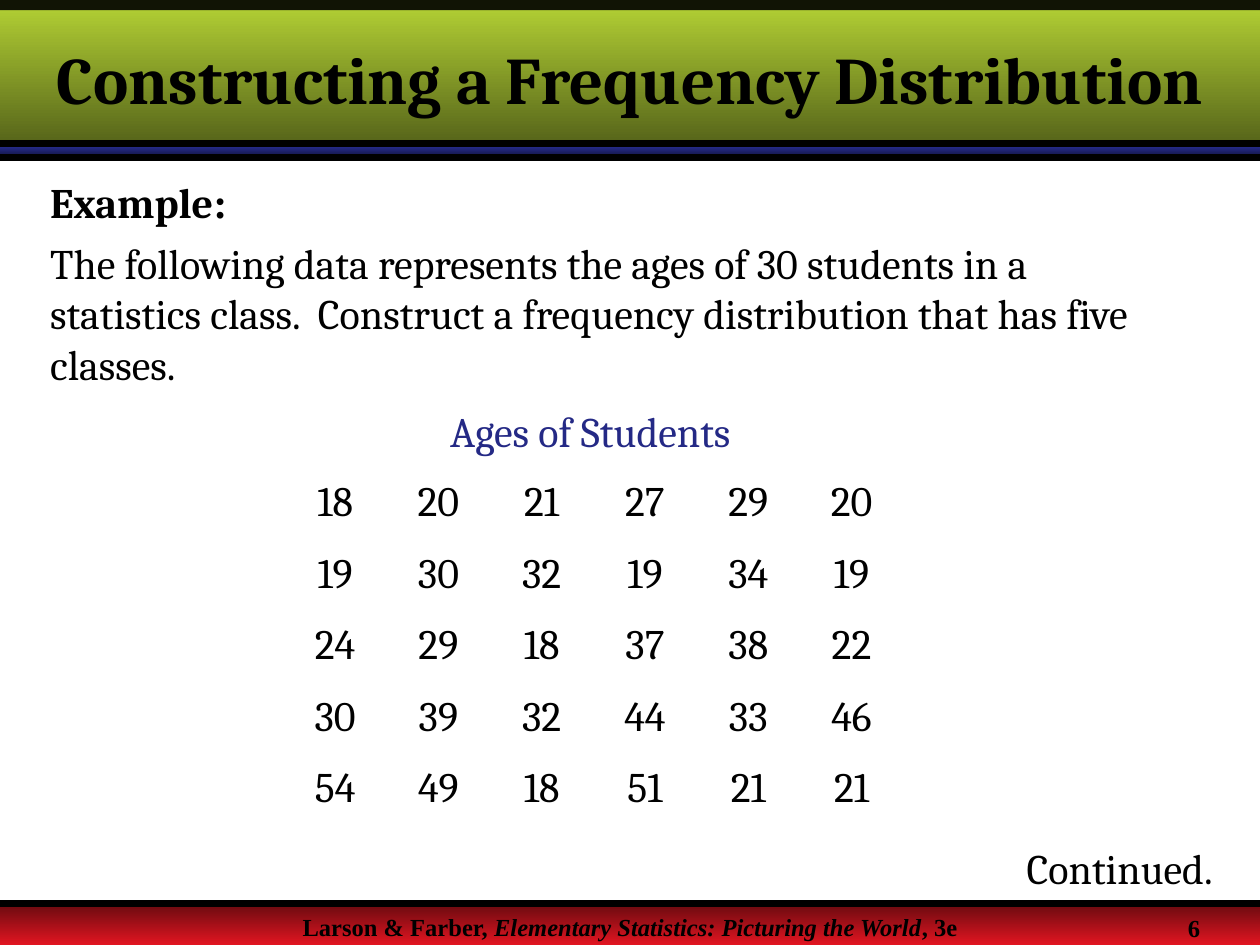
from lxml.etree import SubElement
from pptx import Presentation
from pptx.dml.color import RGBColor
from pptx.enum.shapes import MSO_CONNECTOR, MSO_SHAPE
from pptx.enum.text import MSO_ANCHOR, MSO_AUTO_SIZE, PP_ALIGN
from pptx.oxml.ns import qn
from pptx.util import Inches, Pt

INK = {"black": "000000", "navy": "242985", "night": "11133E",
       "lime": "B5D335", "olive": "546219", "wine": "680A0F", "red": "E11521"}
SERIF, ROMAN = "Cambria", "Times New Roman"


def write(par, text, size=24, face=SERIF, ink="black", bold=False, slant=False):
    run = par.add_run()
    run.text = text
    font = run.font
    font.size, font.name, font.bold, font.italic = Pt(size), face, bold, slant
    font.color.rgb = RGBColor.from_string(INK[ink])


def add_box(left, top, width, height, align=PP_ALIGN.LEFT):
    box = slide.shapes.add_textbox(Inches(left), Inches(top), Inches(width), Inches(height))
    box.text_frame.word_wrap = True
    par = box.text_frame.paragraphs[0]
    par.alignment = align
    return par


deck = Presentation()
deck.slide_width, deck.slide_height = Inches(10), Inches(7.5)
slide = deck.slides.add_slide(deck.slide_layouts[5])

bands = [
    (7.17, 0.33, "wine", "red"),
    (1.17, 0.08, "navy", "night"),
    (0, 1.17, "lime", "olive"),
    (0, 0.08, "black", None),
]
for top, height, start, end in bands:
    band = slide.shapes.add_shape(MSO_SHAPE.RECTANGLE, 0, Inches(top), Inches(10), Inches(height))
    band.shadow.inherit = False
    band.line.fill.background()
    if end:
        band.fill.gradient()
        band.fill.gradient_angle = 270
        for stop, ink, spot in zip(band.fill.gradient_stops, (start, end), (0, 1)):
            stop.color.rgb = RGBColor.from_string(INK[ink])
            stop.position = spot
    else:
        band.fill.solid()
        band.fill.fore_color.rgb = RGBColor.from_string(INK[start])
        tint = band.element.spPr.find(qn("a:solidFill"))[0]
        SubElement(tint, qn("a:alpha"), val="90000")

for y in (1.14, 1.25, 7.17):
    rule = slide.shapes.add_connector(MSO_CONNECTOR.STRAIGHT, 0, Inches(y), Inches(10), Inches(y))
    rule.line.width = Pt(4)
    rule.line.color.rgb = RGBColor.from_string(INK["black"])
    SubElement(rule.element.spPr, qn("a:effectLst"))

title = slide.shapes.title
title.left, title.top, title.width, title.height = 0, Inches(0.08), Inches(10), Inches(1.08)
title.text_frame.auto_size = MSO_AUTO_SIZE.NONE
title.text_frame.vertical_anchor = MSO_ANCHOR.MIDDLE
head = title.text_frame.paragraphs[0]
head.alignment = PP_ALIGN.CENTER
write(head, "Constructing a Frequency Distribution", 38, bold=True)
slide.shapes.element.append(title.element)

label = add_box(0.3, 1.35, 9.17, 1.15)
write(label, "Example", bold=True)
write(label, ":", face=ROMAN, bold=True)
task = slide.shapes[-1].text_frame.add_paragraph()
task.space_before = Pt(6)
write(task, "The following data represents the ages of 30 students in a statistics class.  "
            "Construct a frequency distribution that has five classes.")

write(add_box(3.1, 3.17, 3.17, 0.5, PP_ALIGN.CENTER), "Ages of Students", ink="navy")

ages = [
    (18, 20, 21, 27, 29, 20),
    (19, 30, 32, 19, 34, 19),
    (24, 29, 18, 37, 38, 22),
    (30, 39, 32, 44, 33, 46),
    (54, 49, 18, 51, 21, 21),
]
grid = slide.shapes.add_table(5, 6, Inches(2.25), Inches(3.75), Inches(4.92), Inches(2.84)).table
grid.first_row = grid.horz_banding = False
for r, row in enumerate(ages):
    for c, age in enumerate(row):
        cell = grid.cell(r, c)
        cell.fill.background()
        par = cell.text_frame.paragraphs[0]
        par.alignment = PP_ALIGN.CENTER
        write(par, str(age))

write(add_box(8.05, 6.64, 1.9, 0.5), "Continued.")

foot = add_box(0, 7.19, 10, 0.2, PP_ALIGN.CENTER)
write(foot, "Larson & Farber, ", 14, ROMAN, bold=True)
write(foot, "Elementary Statistics: Picturing the World", 14, ROMAN, bold=True, slant=True)
write(foot, ", 3e", 14, ROMAN, bold=True)
write(add_box(9.33, 7.2, 0.6, 0.3), "6", 14, ROMAN, bold=True)

deck.save("out.pptx")
